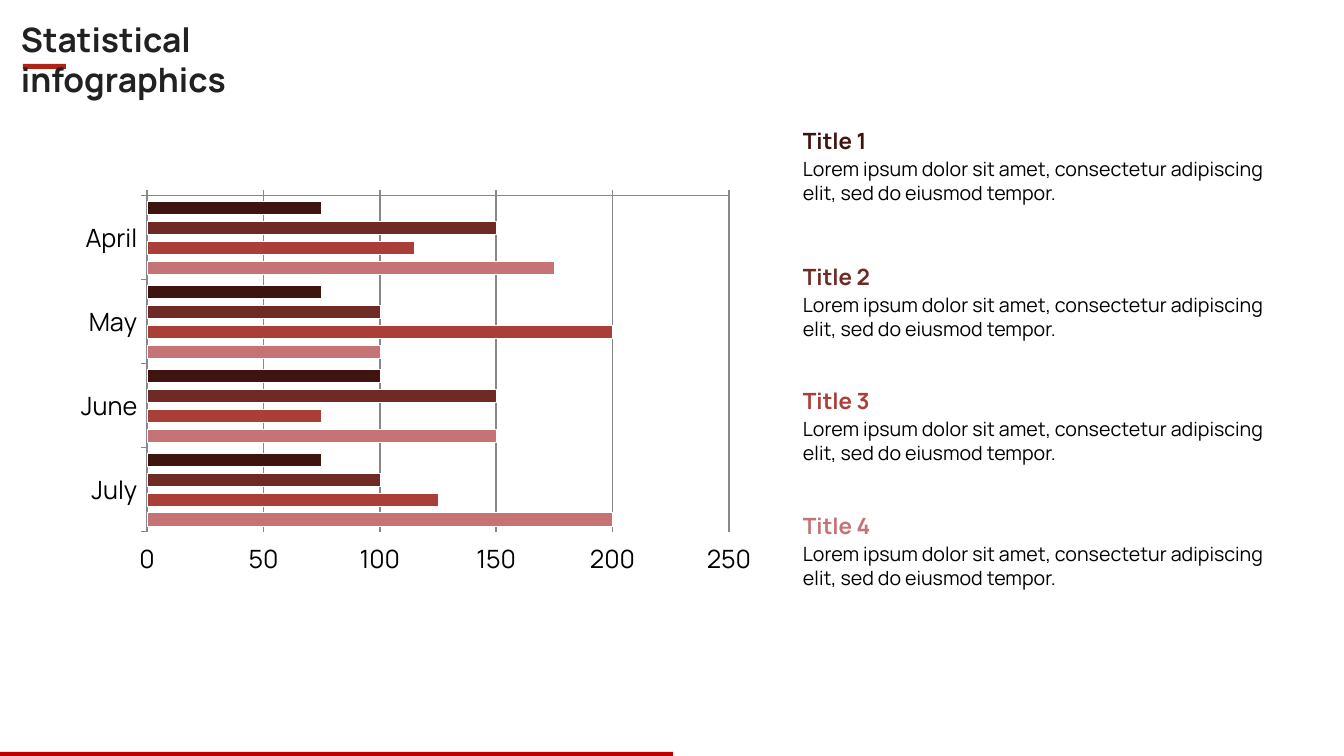
from dataclasses import dataclass

from pptx import Presentation
from pptx.chart.data import CategoryChartData
from pptx.dml.color import RGBColor
from pptx.enum.chart import XL_CHART_TYPE, XL_TICK_LABEL_POSITION, XL_TICK_MARK
from pptx.enum.shapes import MSO_SHAPE
from pptx.enum.text import MSO_ANCHOR, MSO_AUTO_SIZE, PP_ALIGN
from pptx.oxml import parse_xml
from pptx.oxml.ns import nsdecls, qn
from pptx.util import Emu, Pt


@dataclass(frozen=True)
class Theme:
    font: str = "Manrope"
    title_color: str = "212121"
    body_color: str = "000000"
    axis_color: str = "888888"
    bar_outline: str = "FFFFFF"
    accent: str = "B02418"
    footer: str = "C00000"
    title_size: int = 24
    heading_size: int = 16
    body_size: int = 14
    axis_size: int = 18


@dataclass(frozen=True)
class Box:
    left: int
    top: int
    width: int
    height: int

    def emu(self) -> tuple:
        return tuple(px(n) for n in (self.left, self.top, self.width, self.height))


@dataclass(frozen=True)
class Topic:
    """A chart series together with the caption that shares its colour."""
    series: str
    heading: str
    color: str
    values: tuple
    top: int


THEME = Theme()
PX_PER_INCH = 100.8
MONTHS = ("April", "May", "June", "July")
CAPTION = "Lorem ipsum dolor sit amet, consectetur adipiscing elit, sed do eiusmod tempor."
CAPTION_LEFT = 798
CAPTION_OFFSET = 30
INSET = 5
PLOT_AREA = {"x": 0.16, "y": 0.132, "w": 0.808, "h": 0.753}
TOPICS = (
    Topic("Series 1", "Title 1", "3F130F", (75, 75, 100, 75), 122),
    Topic("Series 2", "Title 2", "702A26", (150, 100, 150, 100), 258),
    Topic("Series 3", "Title 3", "A93F38", (115, 200, 75, 125), 382),
    Topic("Series 4", "Title 4", "C67376", (175, 100, 150, 200), 507),
)


def px(length: int) -> Emu:
    return Emu(round(length * 914400 / PX_PER_INCH))


def rgb(color: str) -> RGBColor:
    return RGBColor.from_string(color)


def write_text(shape, text: str, *, size: int, color: str,
               bold: bool = False, inset: int = INSET) -> None:
    frame = shape.text_frame
    frame.word_wrap = True
    frame.auto_size = MSO_AUTO_SIZE.SHAPE_TO_FIT_TEXT
    frame.vertical_anchor = MSO_ANCHOR.TOP
    frame.margin_left = frame.margin_right = px(inset)
    frame.margin_top = frame.margin_bottom = px(inset)
    paragraph = frame.paragraphs[0]
    paragraph.alignment = PP_ALIGN.LEFT
    run = paragraph.add_run()
    run.text = text
    run.font.name = THEME.font
    run.font.size = Pt(size)
    run.font.bold = bold
    run.font.color.rgb = rgb(color)


def add_bar(slide, box: Box, color: str) -> None:
    bar = slide.shapes.add_shape(MSO_SHAPE.RECTANGLE, *box.emu())
    bar.shadow.inherit = False
    bar.fill.solid()
    bar.fill.fore_color.rgb = rgb(color)
    bar.line.fill.background()


def set_line(line, color: str, width: float) -> None:
    line.color.rgb = rgb(color)
    line.width = Pt(width)


def style_axis(axis) -> None:
    axis.major_tick_mark = XL_TICK_MARK.OUTSIDE
    axis.minor_tick_mark = XL_TICK_MARK.NONE
    set_line(axis.format.line, THEME.axis_color, 1)
    font = axis.tick_labels.font
    font.name = THEME.font
    font.size = Pt(THEME.axis_size)
    font.color.rgb = rgb(THEME.body_color)


def fix_plot_area(chart) -> None:
    """Pin the inner plot area to fixed fractions of the chart."""
    plot_area = chart.element.find(".//" + qn("c:plotArea"))
    for old_layout in plot_area.findall(qn("c:layout")):
        plot_area.remove(old_layout)
    modes = '<c:xMode val="edge"/><c:yMode val="edge"/>'
    sizes = "".join(f'<c:{key} val="{part}"/>' for key, part in PLOT_AREA.items())
    plot_area.insert(0, parse_xml(
        f'<c:layout {nsdecls("c")}><c:manualLayout><c:layoutTarget val="inner"/>'
        f"{modes}{sizes}</c:manualLayout></c:layout>"))


def add_month_chart(slide, box: Box) -> None:
    data = CategoryChartData()
    data.categories = MONTHS
    for topic in TOPICS:
        data.add_series(topic.series, topic.values)
    chart = slide.shapes.add_chart(XL_CHART_TYPE.BAR_CLUSTERED, *box.emu(), data).chart
    chart.has_legend = False
    chart.has_title = False
    chart.font.name = THEME.font
    chart.font.size = Pt(10)
    chart.font.color.rgb = rgb(THEME.body_color)

    bars = chart.plots[0]
    bars.vary_by_categories = False
    bars.gap_width = 80
    bars.overlap = -50
    for series, topic in zip(bars.series, TOPICS):
        series.format.fill.solid()
        series.format.fill.fore_color.rgb = rgb(topic.color)
        set_line(series.format.line, THEME.bar_outline, 0.5)

    months, amounts = chart.category_axis, chart.value_axis
    style_axis(months)
    months.reverse_order = True
    style_axis(amounts)
    amounts.minimum_scale = 0
    amounts.maximum_scale = 250
    amounts.major_unit = 50
    amounts.has_major_gridlines = True
    set_line(amounts.major_gridlines.format.line, THEME.axis_color, 1)
    amounts.tick_label_position = XL_TICK_LABEL_POSITION.HIGH
    fix_plot_area(chart)


def add_caption(slide, topic: Topic) -> None:
    body = slide.shapes.add_textbox(
        *Box(CAPTION_LEFT, topic.top + CAPTION_OFFSET, 500, 54).emu())
    write_text(body, CAPTION, size=THEME.body_size, color=THEME.body_color)
    heading = slide.shapes.add_textbox(*Box(CAPTION_LEFT, topic.top, 91, 36).emu())
    write_text(heading, topic.heading, size=THEME.heading_size,
               color=topic.color, bold=True)


def place_title(slide, box: Box) -> None:
    """Format the title placeholder and bring it in front of the accent bar."""
    title = slide.shapes.title
    title.left, title.top, title.width, title.height = box.emu()
    write_text(title, "Statistical infographics", size=THEME.title_size,
               color=THEME.title_color, bold=True, inset=0)
    title.element.getparent().append(title.element)


def main() -> None:
    presentation = Presentation()
    presentation.slide_width = px(1344)
    presentation.slide_height = px(756)
    slide = presentation.slides.add_slide(presentation.slide_layouts[5])
    add_month_chart(slide, Box(32, 137, 720, 446))
    for topic in TOPICS:
        add_caption(slide, topic)
    add_bar(slide, Box(0, 752, 673, 4), THEME.footer)
    add_bar(slide, Box(23, 64, 43, 5), THEME.accent)
    place_title(slide, Box(21, 19, 370, 40))
    presentation.save("out.pptx")


if __name__ == "__main__":
    main()
